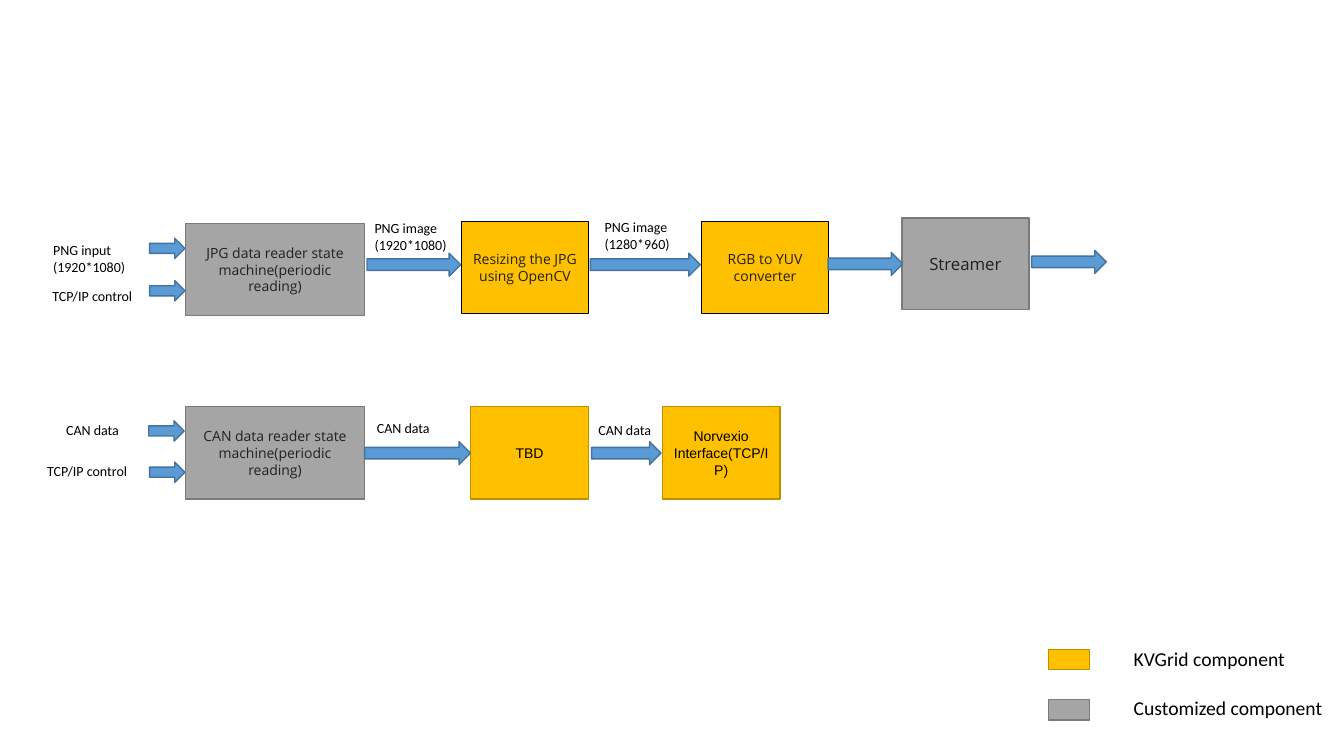
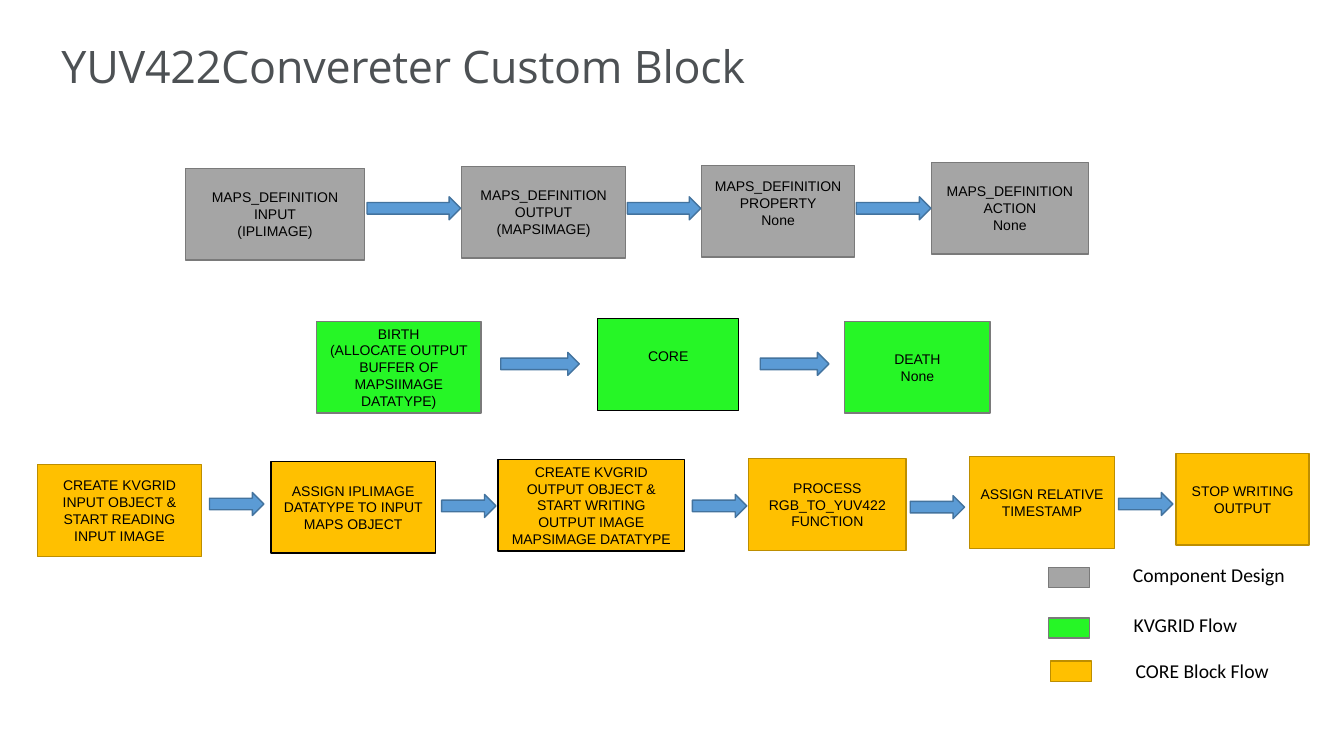
from dataclasses import dataclass
from typing import Any, NamedTuple

import lxml.etree
import pptx
import pptx.dml.color
import pptx.enum.shapes
import pptx.enum.text
import pptx.util

Cm = pptx.util.Cm
Pt = pptx.util.Pt
Kind = pptx.enum.shapes.MSO_SHAPE
Align = pptx.enum.text.PP_ALIGN
Anchor = pptx.enum.text.MSO_ANCHOR


# Theme: colours and type
class Tone(NamedTuple):
    fill: str
    line: str


class Type(NamedTuple):
    font: str
    size: float
    ink: str


@dataclass(frozen=True)
class Theme:
    grey: Tone = Tone("A5A5A5", "7A7A7A")
    gold: Tone = Tone("FFC000", "BD8E00")
    gold_dark: Tone = Tone("FFC000", "000000")
    green: Tone = Tone("26F626", "7A7A7A")
    green_dark: Tone = Tone("26F626", "000000")
    blue: Tone = Tone("5B9BD5", "43739E")
    title: Type = Type("Open Sans", 32, "4D5154")
    step: Type = Type("Open Sans", 10, "212121")
    large: Type = Type("Open Sans", 12, "212121")
    plain: Type = Type("Arial", 10, "000000")
    label: Type = Type("Calibri", 10, "000000")
    key: Type = Type("Calibri", 14, "000000")


THEME = Theme()


# Parts of a flow chart, all lengths in centimetres
class Box(NamedTuple):
    left: float
    top: float
    width: float
    text: str
    tone: Tone
    type: Type = THEME.plain
    height: float = 2.31
    lift: float = 0  # extra room kept below the text


class Arrow(NamedTuple):
    left: float
    middle: float
    length: float
    thick: float = 0.58


class Label(NamedTuple):
    left: float
    top: float
    width: float
    text: str
    height: float = 0.69
    type: Type = THEME.label


class Key(NamedTuple):
    left: float
    top: float
    text_left: float
    text_top: float
    tone: Tone
    text: str


def paint(text: str) -> pptx.dml.color.RGBColor:
    return pptx.dml.color.RGBColor.from_string(text)


def write(frame: Any, text: str, style: Type, align: Any) -> None:
    frame.word_wrap = True
    frame.text = text
    for para in frame.paragraphs:
        para.alignment = align
        for run in para.runs:
            run.font.name = style.font
            run.font.size = Pt(style.size)
            run.font.color.rgb = paint(style.ink)


def draw_shape(slide: Any, kind: Any, left: float, top: float, width: float,
               height: float, tone: Tone) -> Any:
    shape = slide.shapes.add_shape(kind, Cm(left), Cm(top), Cm(width), Cm(height))
    shape.shadow.inherit = False
    shape.fill.solid()
    shape.fill.fore_color.rgb = paint(tone.fill)
    shape.line.color.rgb = paint(tone.line)
    shape.line.width = Pt(1)
    return shape


def draw_box(slide: Any, box: Box) -> None:
    shape = draw_shape(slide, Kind.RECTANGLE, box.left, box.top, box.width,
                       box.height, box.tone)
    frame = shape.text_frame
    frame.vertical_anchor = Anchor.MIDDLE
    frame.margin_bottom = Cm(0.13 + box.lift)
    write(frame, box.text, box.type, Align.CENTER)


def draw_arrow(slide: Any, arrow: Arrow) -> None:
    draw_shape(slide, Kind.RIGHT_ARROW, arrow.left, arrow.middle - arrow.thick / 2,
               arrow.length, arrow.thick, THEME.blue)


def draw_label(slide: Any, label: Label) -> Any:
    shape = slide.shapes.add_textbox(Cm(label.left), Cm(label.top),
                                     Cm(label.width), Cm(label.height))
    write(shape.text_frame, label.text, label.type, Align.LEFT)
    return shape


def draw_title(slide: Any, text: str) -> None:
    shape = draw_label(slide, Label(1.3, 0.86, 30.89, text, 1.68, THEME.title))
    for run in shape.text_frame.paragraphs[0].runs:
        run.font._element.set("spc", "-20")


def draw_key(slide: Any, key: Key) -> None:
    draw_shape(slide, Kind.RECTANGLE, key.left, key.top, 1.04, 0.51, key.tone)
    draw_label(slide, Label(key.text_left, key.text_top, 5.56, key.text, 0.86,
                            THEME.key))


def draw_flow(deck: Any, boxes: list[Box], arrows: list[Arrow],
              labels: list[Label], keys: list[Key], title: str = "") -> None:
    slide = deck.slides.add_slide(deck.slide_layouts[6])
    if title:
        draw_title(slide, title)
    for box in boxes:
        draw_box(slide, box)
    for arrow in arrows:
        draw_arrow(slide, arrow)
    for label in labels:
        draw_label(slide, label)
    for key in keys:
        draw_key(slide, key)


deck = pptx.Presentation()
deck.slide_width = Cm(33.87)
deck.slide_height = Cm(19.05)

# Slide 1: image chain above, CAN chain below
T = THEME
draw_flow(
    deck,
    boxes=[
        Box(4.67, 5.64, 4.52, "JPG data reader state machine(periodic reading)",
            T.grey, T.step),
        Box(11.63, 5.59, 3.2, "Resizing the JPG using OpenCV", T.gold_dark, T.step),
        Box(17.68, 5.59, 3.2, "RGB to YUV converter", T.gold_dark, T.step),
        Box(22.73, 5.49, 3.2, "Streamer", T.grey, T.large),
        Box(4.67, 10.24, 4.52, "CAN data reader state machine(periodic reading)",
            T.grey, T.step, 2.34),
        Box(11.86, 10.24, 2.97, "TBD", T.gold, height=2.34),
        Box(16.69, 10.24, 2.97, "Norvexio Interface(TCP/IP)", T.gold, height=2.34),
    ],
    arrows=[
        Arrow(3.77, 6.26, 0.89, 0.51),
        Arrow(3.77, 7.33, 0.89, 0.51),
        Arrow(9.25, 6.67, 2.36),
        Arrow(14.88, 6.67, 2.77),
        Arrow(20.87, 6.65, 1.88),
        Arrow(26, 6.6, 1.88),
        Arrow(3.75, 10.86, 0.89, 0.51),
        Arrow(3.77, 11.9, 0.89, 0.51),
        Arrow(9.19, 11.42, 2.67),
        Arrow(14.91, 11.42, 1.75),
    ],
    labels=[
        Label(1.09, 5.97, 3.28, "PNG input\n(1920*1080)", 1.12),
        Label(1.07, 7.11, 4.34, "TCP/IP control"),
        Label(9.19, 5.41, 3.2, "PNG image\n(1920*1080)", 1.12),
        Label(14.99, 5.38, 3.02, "PNG image\n(1280*960)", 1.12),
        Label(1.42, 10.49, 3.28, "CAN data"),
        Label(0.94, 11.53, 3.66, "TCP/IP control"),
        Label(9.25, 10.44, 3.28, "CAN data"),
        Label(14.83, 10.49, 3.28, "CAN data"),
    ],
    keys=[
        Key(26.42, 16.36, 28.32, 16.18, T.gold, "KVGrid component"),
        Key(26.42, 17.63, 28.32, 17.4, T.grey, "Customized component"),
    ],
)

# Slide 2: design, life cycle and core block, one row each
draw_flow(
    deck,
    title="YUV422Convereter Custom Block",
    boxes=[
        Box(4.67, 4.24, 4.52, "MAPS_DEFINITION INPUT\n(IPLIMAGE)", T.grey),
        Box(11.63, 4.19, 4.14, "MAPS_DEFINITION OUTPUT\n(MAPSIMAGE)", T.grey),
        Box(17.68, 4.17, 3.86, "MAPS_DEFINITION PROPERTY\nNone", T.grey, lift=0.41),
        Box(23.47, 4.09, 3.96, "MAPS_DEFINITION ACTION\nNone", T.grey),
        Box(7.98, 8.1, 4.14,
            "BIRTH\n(ALLOCATE OUTPUT BUFFER OF MAPSIIMAGE DATATYPE)", T.green),
        Box(15.06, 8.03, 3.56, "CORE", T.green_dark, lift=0.41),
        Box(21.29, 8.1, 3.66, "DEATH\nNone", T.green),
        Box(0.94, 11.71, 4.14,
            "CREATE KVGRID INPUT OBJECT & START READING INPUT IMAGE", T.gold),
        Box(6.83, 11.63, 4.14, "ASSIGN IPLIMAGE DATATYPE TO INPUT MAPS OBJECT",
            T.gold_dark),
        Box(12.55, 11.58, 4.7, "CREATE KVGRID OUTPUT OBJECT & START WRITING "
            "OUTPUT IMAGE\nMAPSIMAGE DATATYPE", T.gold_dark),
        Box(18.87, 11.56, 3.96, "PROCESS RGB_TO_YUV422\nFUNCTION", T.gold),
        Box(24.43, 11.51, 3.66, "ASSIGN RELATIVE TIMESTAMP", T.gold),
        Box(29.64, 11.43, 3.35, "STOP WRITING OUTPUT", T.gold),
    ],
    arrows=[
        Arrow(9.25, 5.25, 2.36),
        Arrow(15.81, 5.25, 1.85),
        Arrow(21.58, 5.25, 1.88),
        Arrow(12.62, 9.17, 1.98),
        Arrow(19.16, 9.17, 1.73),
        Arrow(5.28, 12.7, 1.37),
        Arrow(11.13, 12.75, 1.37),
        Arrow(17.45, 12.75, 1.37),
        Arrow(22.94, 12.78, 1.37),
        Arrow(28.19, 12.7, 1.37),
    ],
    labels=[],
    keys=[
        Key(26.42, 14.3, 28.3, 14.05, T.grey, "Component Design"),
        Key(26.42, 15.57, 28.32, 15.32, T.green, "KVGRID Flow"),
        Key(26.47, 16.66, 28.37, 16.48, T.gold, "CORE Block Flow"),
    ],
)

deck.save("out.pptx")
